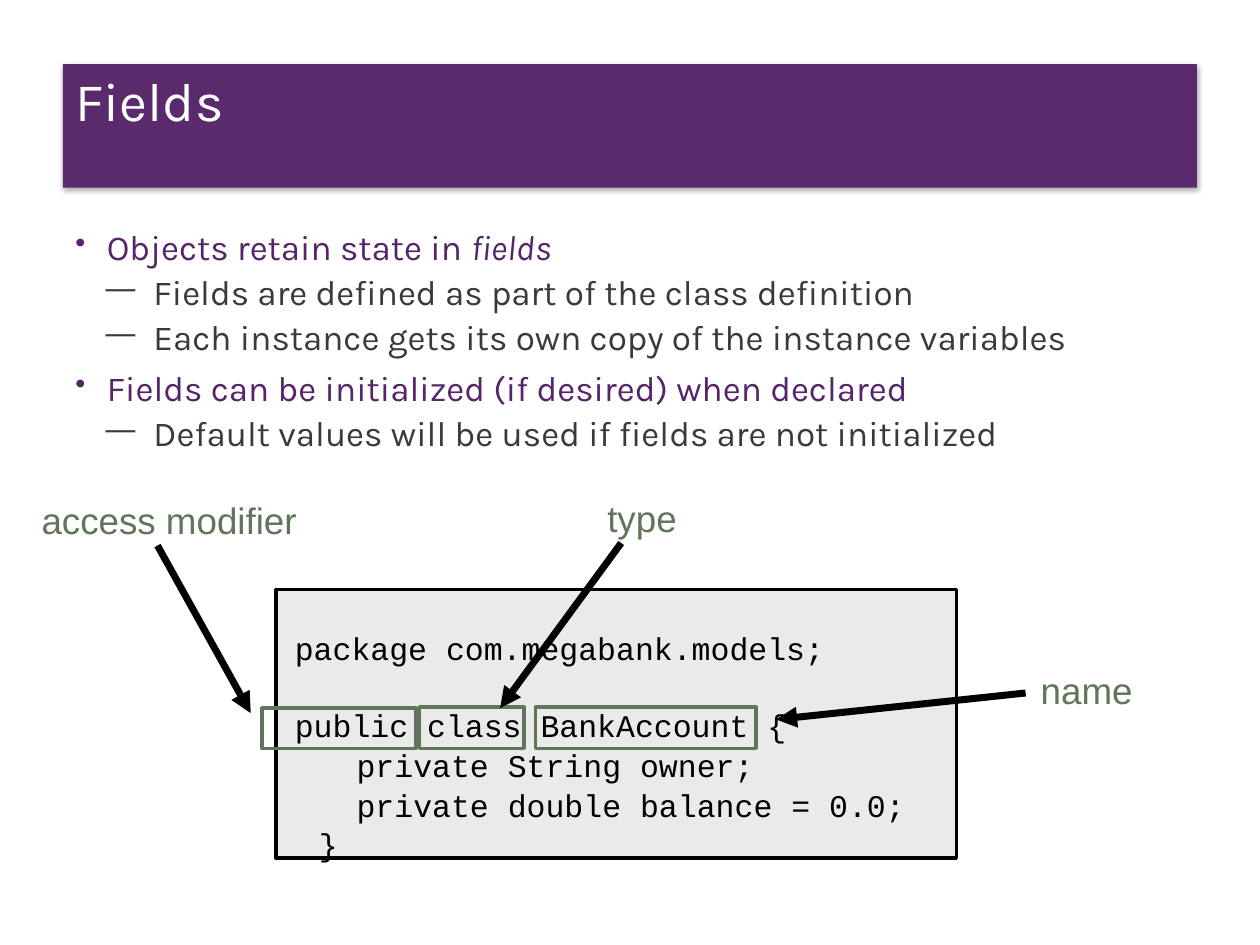
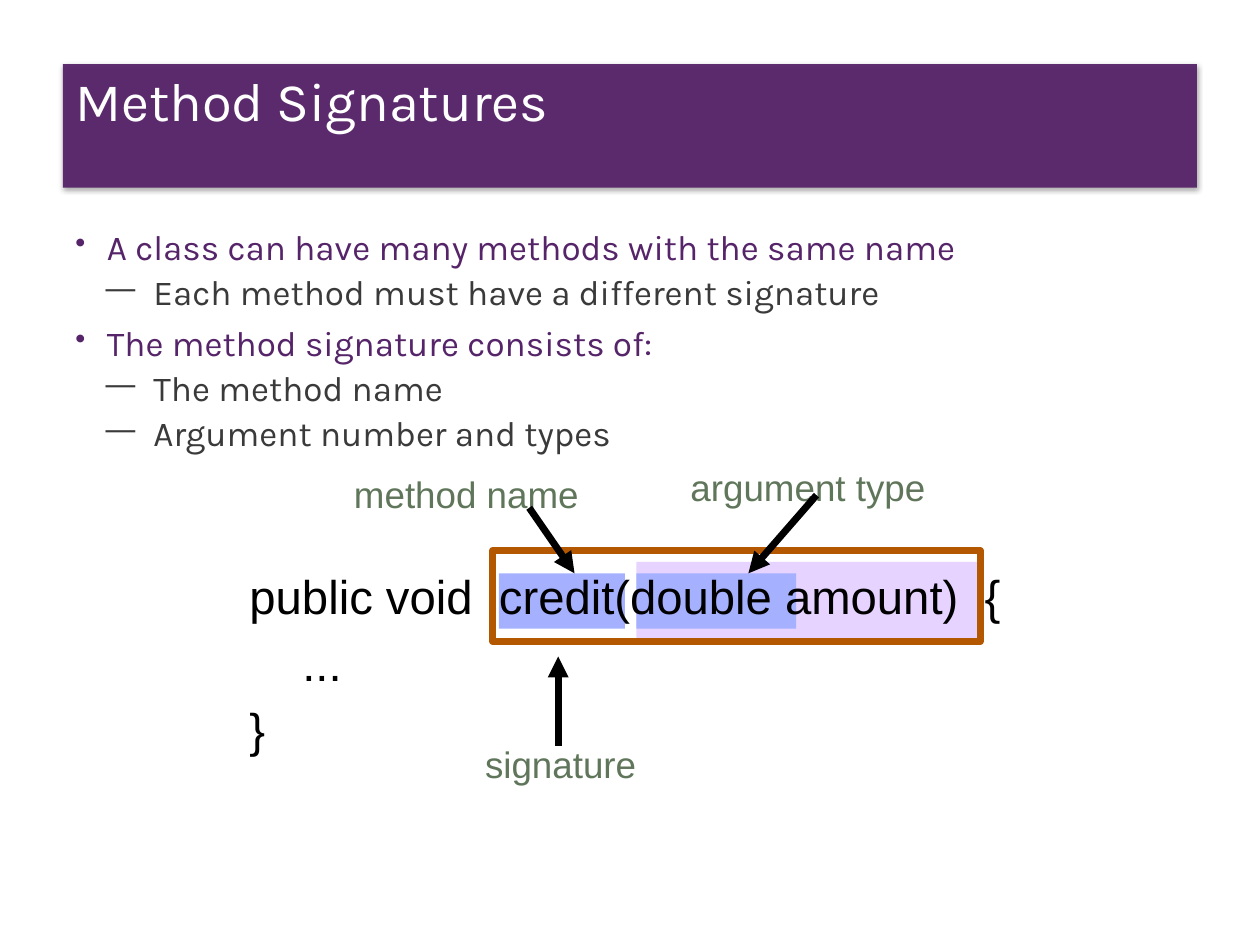
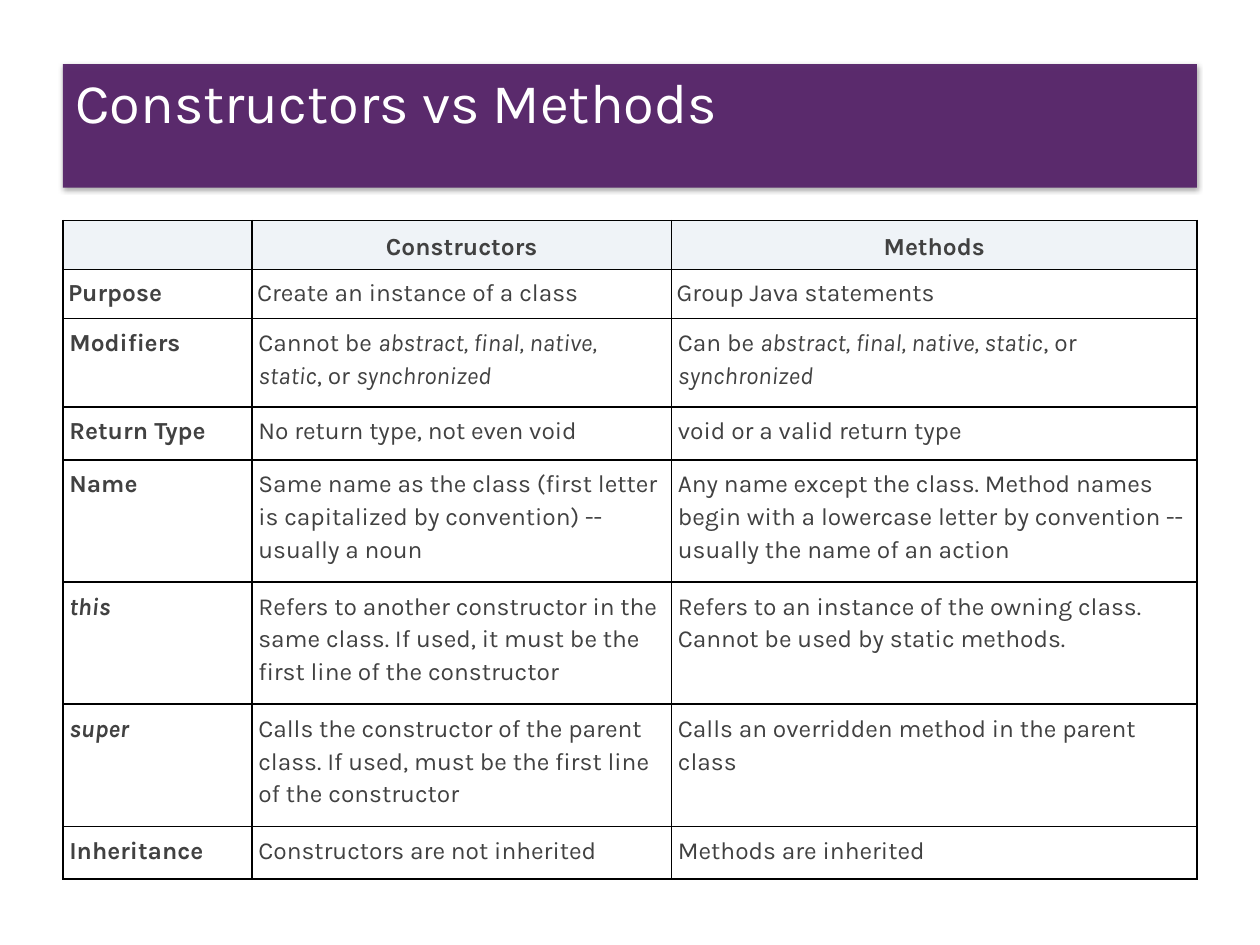
"""Build three slides on Java fields, method signatures and constructors."""
from pptx import Presentation
from pptx.dml.color import RGBColor
from pptx.enum.shapes import MSO_CONNECTOR, MSO_SHAPE
from pptx.enum.text import MSO_ANCHOR, PP_ALIGN
from pptx.oxml import parse_xml
from pptx.oxml.ns import nsdecls
from pptx.util import Inches, Pt

PURPLE = RGBColor(0x56, 0x24, 0x69)
CHARCOAL = RGBColor(0x3A, 0x3A, 0x3A)
TABLE_TEXT = RGBColor(0x41, 0x41, 0x41)
HEADER_FILL = RGBColor(0xEF, 0xF3, 0xF7)
CODE_FILL = RGBColor(0xEA, 0xEA, 0xEA)
GREEN = RGBColor(0x60, 0x76, 0x5B)
LILAC = RGBColor(0xE6, 0xD3, 0xFF)
PERIWINKLE = RGBColor(0xA5, 0xB1, 0xFF)
ORANGE = RGBColor(0xB3, 0x58, 0x00)
BLACK = RGBColor(0, 0, 0)
WHITE = RGBColor(0xFF, 0xFF, 0xFF)
LINE_SPACING = 1.05

FIELD_POINTS = [
    (0, [("Objects retain state in ", ""), ("fields", "i")]),
    (1, [("Fields are defined as part of the class definition", "")]),
    (1, [("Each instance gets its own copy of the instance variables", "")]),
    (0, [("Fields can be initialized (if desired) when declared", "")]),
    (1, [("Default values will be used if fields are not initialized", "")]),
]
FIELD_CODE = [
    ("package com.megabank.models;", 0, 0),
    ("public class BankAccount {", 0, 21.4),
    ("private String owner;", 0.49, 0),
    ("private double balance = 0.0;", 0.49, 0),
    ("}", 0.19, 0),
]
FIELD_MARKS = [(2.08, 5.62, 1.22, 0.32), (3.33, 5.61, 0.83, 0.33), (4.25, 5.61, 1.75, 0.33)]
FIELD_LABELS = [
    ("access modifier", (0.33, 3.93, 2.04, 0.35)),
    ("type", (4.82, 3.92, 0.56, 0.35)),
    ("name", (8.26, 5.28, 0.74, 0.35)),
]
FIELD_ARROWS = [(1.25, 4.33, 1.99, 5.66), (4.93, 4.31, 3.97, 5.62), (8.14, 5.5, 6.16, 5.71)]

METHOD_POINTS = [
    (0, [("A class can have many methods with the same name", "")]),
    (1, [("Each method must have a different signature", "")]),
    (0, [("The method signature consists of:", "")]),
    (1, [("The method name", "")]),
    (1, [("Argument number and types", "")]),
]
METHOD_CODE = [("public void  credit(double amount)  {", 0), ("...", 0.42), ("}", 0)]
METHOD_HIGHLIGHTS = [
    ((5.05, 4.46, 2.72, 0.62), LILAC),
    ((5.05, 4.55, 1.27, 0.44), PERIWINKLE),
    ((3.96, 4.55, 1, 0.44), PERIWINKLE),
]
SIGNATURE_FRAME = (3.91, 4.37, 3.87, 0.72)
METHOD_LABELS = [
    ("method name", (2.81, 3.73, 1.97, 0.35)),
    ("argument type", (5.48, 3.67, 1.95, 0.35)),
    ("signature", (3.85, 5.87, 1.26, 0.35)),
]
METHOD_ARROWS = [(4.2, 4.03, 4.56, 4.55), (6.48, 3.93, 5.94, 4.55), (4.43, 5.92, 4.43, 5.21)]

KEYWORDS = "abstract, final, native, static"
COLUMN_WIDTHS = [1.5, 3.33, 4.17]
COMPARISON = [
    (0.39, "", "Constructors", "Methods"),
    (0.39, "Purpose", "Create an instance of a class", "Group Java statements"),
    (0.7, "Modifiers",
     [("Cannot be ", ""), (KEYWORDS, "i"), (", or ", ""), ("synchronized", "i")],
     [("Can be ", ""), (KEYWORDS, "i"), (", or ", ""), ("synchronized", "i")]),
    (0.42, "Return Type", "No return type, not even void", "void or a valid return type"),
    (0.97, "Name",
     "Same name as the class (first letter is capitalized by convention) -- usually a noun",
     "Any name except the class. Method names begin with a lowercase letter by convention"
     " -- usually the name of an action"),
    (0.97, [("this", "bi")],
     "Refers to another constructor in the same class. If used, it must be the first line"
     " of the constructor",
     "Refers to an instance of the owning class. Cannot be used by static methods."),
    (0.97, [("super", "bi")],
     "Calls the constructor of the parent class. If used, must be the first line of the constructor",
     "Calls an overridden method in the parent class"),
    (0.42, "Inheritance", "Constructors are not inherited", "Methods are inherited"),
]


def inches(values):
    return [Inches(value) for value in values]


def set_margins(target, left, top, right, bottom):
    target.margin_left, target.margin_top, target.margin_right, target.margin_bottom = inches(
        (left, top, right, bottom))


def add_span(para, text, font, size, color, style=""):
    span = para.add_run()
    span.text = text
    span.font.name = font
    span.font.size = Pt(size)
    span.font.color.rgb = color
    span.font.bold = "b" in style
    span.font.italic = "i" in style


def next_para(frame, position, spacing=LINE_SPACING):
    para = frame.paragraphs[0] if position == 0 else frame.add_paragraph()
    para.alignment = PP_ALIGN.LEFT
    para.line_spacing = spacing
    return para


def indent(para, left, hanging=0):
    properties = para._p.get_or_add_pPr()
    properties.set("marL", str(Inches(left)))
    properties.set("indent", str(-Inches(hanging)))
    return properties


def add_text_box(page, place, wrap=True):
    frame = page.shapes.add_textbox(*inches(place)).text_frame
    frame.word_wrap = wrap
    return frame


def add_rectangle(page, place, fill=None, line=None, width=2):
    box = page.shapes.add_shape(MSO_SHAPE.RECTANGLE, *inches(place))
    box.shadow.inherit = False
    if fill is None:
        box.fill.background()
    else:
        box.fill.solid()
        box.fill.fore_color.rgb = fill
    if line is None:
        box.line.fill.background()
    else:
        box.line.color.rgb = line
        box.line.width = Pt(width)
    return box


def add_title(page, text, size=31):
    band = add_rectangle(page, (0.5, 0.51, 9, 0.98), PURPLE)
    color = band.fill._xPr.find(".//{*}srgbClr")
    color.append(parse_xml(f'<a:alpha {nsdecls("a")} val="95000"/>'))
    band._element.spPr.find("{*}effectLst").append(parse_xml(
        f'<a:outerShdw {nsdecls("a")} blurRad="38100" dist="12700" dir="5400000">'
        '<a:srgbClr val="000000"><a:alpha val="35000"/></a:srgbClr></a:outerShdw>'))
    frame = band.text_frame
    frame.vertical_anchor = MSO_ANCHOR.TOP
    set_margins(frame, 0.1, 0, 0.1, 0.05)
    add_span(next_para(frame, 0), text, "Karla", size, WHITE)


def add_points(page, points):
    frame = add_text_box(page, (0.5, 1.72, 9, 5.52))
    levels = [(0.25, 0.25, 4, "•", PURPLE), (0.62, 0.38, 0.6, "—", CHARCOAL)]
    for position, (level, spans) in enumerate(points):
        left, hanging, before, bullet, color = levels[level]
        para = next_para(frame, position)
        para.level = level
        para.space_before = Pt(before)
        properties = indent(para, left, hanging)
        properties.append(parse_xml(f'<a:buSzPct {nsdecls("a")} val="85000"/>'))
        properties.append(parse_xml(f'<a:buChar {nsdecls("a")} char="{bullet}"/>'))
        for text, style in spans:
            add_span(para, text, "Karla", 20, color, style)


def add_labels(page, labels):
    for text, place in labels:
        frame = add_text_box(page, place, wrap=False)
        set_margins(frame, 0, 0, 0, 0)
        add_span(next_para(frame, 0), text, "Arial", 21, GREEN)


def add_arrows(page, arrows):
    for ends in arrows:
        arrow = page.shapes.add_connector(MSO_CONNECTOR.STRAIGHT, *inches(ends))
        arrow.line.color.rgb = BLACK
        arrow.line.width = Pt(4)
        arrow.line._get_or_add_ln().append(
            parse_xml(f'<a:tailEnd {nsdecls("a")} type="triangle"/>'))
        arrow._element.spPr.append(parse_xml(f'<a:effectLst {nsdecls("a")}/>'))


def build_fields(page):
    add_title(page, "Fields")
    add_points(page, FIELD_POINTS)
    frame = add_rectangle(page, (2.19, 4.68, 5.4, 2.13), CODE_FILL, BLACK).text_frame
    frame.vertical_anchor = MSO_ANCHOR.TOP
    set_margins(frame, 0.15, 0.3, 0, 0)
    for position, (text, left, before) in enumerate(FIELD_CODE):
        para = next_para(frame, position)
        para.space_before = Pt(before)
        indent(para, left)
        add_span(para, text, "Courier New", 18, BLACK)
    for place in FIELD_MARKS:
        add_rectangle(page, place, line=GREEN)
    add_labels(page, FIELD_LABELS)
    add_arrows(page, FIELD_ARROWS)


def build_signatures(page):
    add_title(page, "Method Signatures")
    add_points(page, METHOD_POINTS)
    for place, fill in METHOD_HIGHLIGHTS:
        add_rectangle(page, place, fill)
    frame = add_text_box(page, (1.98, 4.48, 6.09, 1.5))
    set_margins(frame, 0, 0, 0, 0)
    for position, (text, left) in enumerate(METHOD_CODE):
        para = next_para(frame, position)
        para.space_after = Pt(4)
        indent(para, left)
        add_span(para, text, "Arial", 27, BLACK)
    add_rectangle(page, SIGNATURE_FRAME, line=ORANGE, width=4)
    add_labels(page, METHOD_LABELS)
    add_arrows(page, METHOD_ARROWS)


def add_borders(cell):
    properties = cell._tc.get_or_add_tcPr()
    for side in ("lnL", "lnR", "lnT", "lnB"):
        properties.append(parse_xml(
            f'<a:{side} {nsdecls("a")} w="{Pt(1)}"><a:solidFill>'
            f'<a:srgbClr val="{BLACK}"/></a:solidFill></a:{side}>'))


def fill_cell(cell, content, row, column):
    header = row == 0
    add_borders(cell)
    if header:
        cell.fill.solid()
        cell.fill.fore_color.rgb = HEADER_FILL
    else:
        cell.fill.background()
    set_margins(cell, *[0.04 if row < 2 else 0.05] * 4)
    cell.vertical_anchor = MSO_ANCHOR.MIDDLE if header else MSO_ANCHOR.TOP
    if not content:
        return
    para = next_para(cell.text_frame, 0, 1.15)
    if header:
        para.alignment = PP_ALIGN.CENTER
    if isinstance(content, str):
        content = [(content, "b" if header or column == 0 else "")]
    for text, style in content:
        add_span(para, text, "Karla", 14, TABLE_TEXT, style)


def build_comparison(page):
    add_title(page, "Constructors vs Methods", 32)
    height = sum(row[0] for row in COMPARISON)
    place = inches((0.5, 1.75, sum(COLUMN_WIDTHS), height))
    table = page.shapes.add_table(len(COMPARISON), len(COLUMN_WIDTHS), *place).table
    table.first_row = table.horz_banding = False
    for column, width in enumerate(COLUMN_WIDTHS):
        table.columns[column].width = Inches(width)
    for row, (row_height, *contents) in enumerate(COMPARISON):
        table.rows[row].height = Inches(row_height)
        for column, content in enumerate(contents):
            fill_cell(table.cell(row, column), content, row, column)


def main():
    deck = Presentation()
    deck.slide_width, deck.slide_height = Inches(10), Inches(7.5)
    for build in (build_fields, build_signatures, build_comparison):
        build(deck.slides.add_slide(deck.slide_layouts[6]))
    deck.save("out.pptx")


if __name__ == "__main__":
    main()
